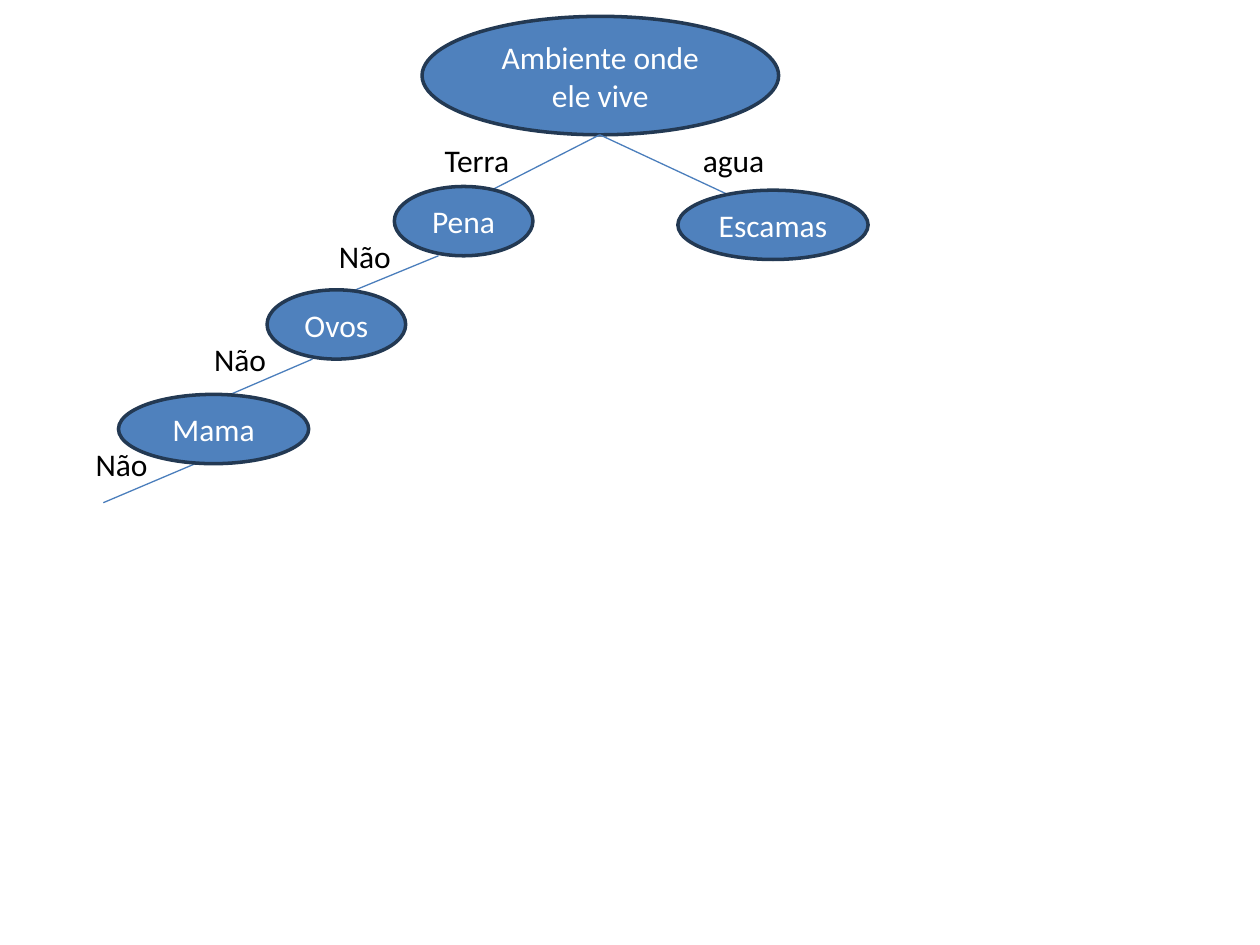
"""Build a decision tree slide that classifies animals."""
from pptx import Presentation
from pptx.dml.color import RGBColor
from pptx.enum.shapes import MSO_CONNECTOR, MSO_SHAPE
from pptx.enum.text import MSO_ANCHOR, MSO_AUTO_SIZE, PP_ALIGN
from pptx.oxml.ns import qn
from pptx.util import Inches, Pt
from lxml.etree import SubElement

COLORS = {"node": "4F81BD", "outline": "233953", "branch": "4B7EBC",
          "node_text": "FFFFFF", "label": "000000"}


def write(shape, text, color, alignment):
    shape.text_frame.text = text
    paragraph = shape.text_frame.paragraphs[0]
    paragraph.alignment = alignment
    font = paragraph.runs[0].font
    font.name = "Calibri"
    font.size = Pt(18)
    font.color.rgb = RGBColor.from_string(COLORS[color])


def add_node(slide, text, left, top, width, height=0.55):
    node = slide.shapes.add_shape(MSO_SHAPE.OVAL, Inches(left), Inches(top),
                                  Inches(width), Inches(height))
    node.shadow.inherit = False
    node.fill.solid()
    node.fill.fore_color.rgb = RGBColor.from_string(COLORS["node"])
    node.line.color.rgb = RGBColor.from_string(COLORS["outline"])
    node.line.width = Pt(2)
    node.text_frame.word_wrap = True
    node.text_frame.vertical_anchor = MSO_ANCHOR.MIDDLE
    write(node, text, "node_text", PP_ALIGN.CENTER)


presentation = Presentation()
presentation.slide_width = Inches(10)
presentation.slide_height = Inches(7.5)
slide = presentation.slides.add_slide(presentation.slide_layouts[6])

add_node(slide, "Ambiente onde ele vive", 3.35, 0.13, 2.83, 0.94)

branches = [
    (4.76, 1.07, 3.82, 1.55),
    (4.76, 1.07, 5.79, 1.55),
    (3.48, 2.03, 2.75, 2.33),
    (2.48, 2.85, 1.76, 3.16),
    (1.55, 3.68, 0.82, 3.99),
]
for ends in branches:
    branch = slide.shapes.add_connector(MSO_CONNECTOR.STRAIGHT, *map(Inches, ends))
    branch.line.color.rgb = RGBColor.from_string(COLORS["branch"])
    branch.line.width = Pt(0.75)
    SubElement(branch._element.spPr, qn("a:effectLst"))

nodes = [
    ("Pena", 3.13, 1.48, 1.1),
    ("Escamas", 5.38, 1.51, 1.51),
    ("Ovos", 2.12, 2.3, 1.1),
    ("Mama", 0.94, 3.13, 1.51),
]
for node in nodes:
    add_node(slide, *node)

labels = [
    ("Terra", 3.43, 1.07, 0.78),
    ("agua", 5.48, 1.07, 0.7),
    ("Não", 2.59, 1.83, 0.62),
    ("Não", 1.6, 2.65, 0.62),
    ("Não", 0.66, 3.48, 0.62),
]
for text, left, top, width in labels:
    label = slide.shapes.add_textbox(Inches(left), Inches(top), Inches(width), Inches(0.4))
    label.text_frame.word_wrap = False
    label.text_frame.auto_size = MSO_AUTO_SIZE.SHAPE_TO_FIT_TEXT
    write(label, text, "label", PP_ALIGN.LEFT)

presentation.save("out.pptx")
